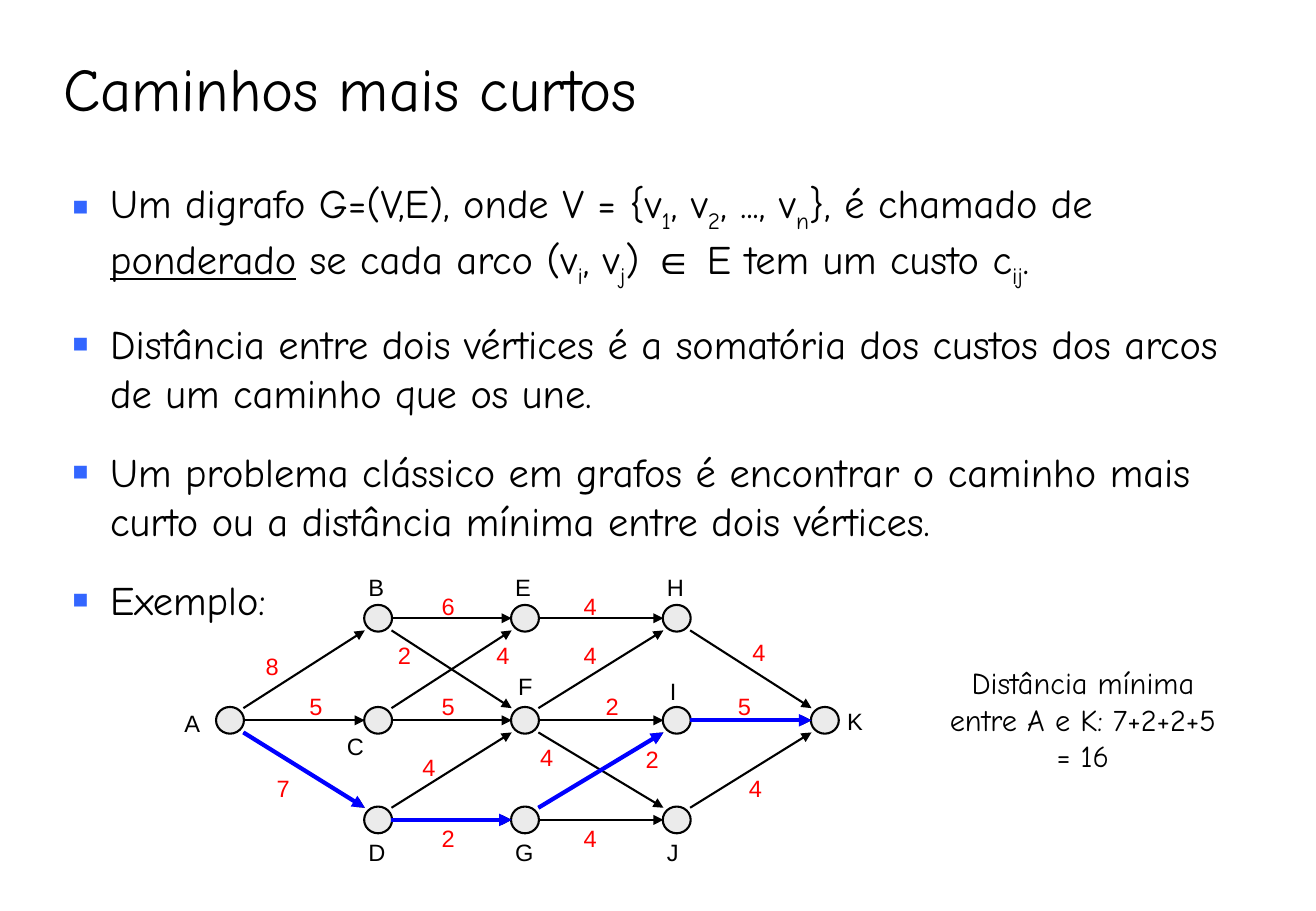
from lxml.etree import SubElement
from pptx import Presentation
from pptx.dml.color import RGBColor
from pptx.enum.shapes import MSO_CONNECTOR, MSO_SHAPE
from pptx.enum.text import MSO_ANCHOR, PP_ALIGN
from pptx.oxml.ns import qn
from pptx.util import Inches, Pt

CELL = 0.1
COLORS = {"ink": "000000", "bullet": "3366FF", "node": "EBEBEB",
          "weight": "FF0000", "path": "0000FF"}
HAND, SANS = "Comic Neue", "Arial"

COLS = (18.95, 31.15, 43.25, 55.75, 67.95)
ROWS = (50.9, 59.3, 67.5)
ABOVE, BELOW = (-1.8, -4.2), (-1.8, 1)
NODES = {
    "A": (0, 1, (-4.75, -1.4)), "B": (1, 0, ABOVE), "C": (1, 1, (-3.55, 0.5)),
    "D": (1, 2, BELOW), "E": (2, 0, ABOVE), "F": (2, 1, (-1.55, -4.5)),
    "G": (2, 2, BELOW), "H": (3, 0, ABOVE), "I": (3, 1, (-1.55, -4.1)),
    "J": (3, 2, BELOW), "K": (4, 1, (0.85, -1.6)),
}
ARCS = {
    "AB": ("8", 20.9, 53.2), "AC": ("5", 24.5, 56.5), "AD": ("7", 21.8, 63.2),
    "BE": ("6", 35.4, 48.2), "BF": ("2", 31.8, 52.3), "CE": ("4", 39.9, 52.3),
    "CF": ("5", 35.4, 56.5), "DF": ("4", 33.8, 61.5), "DG": ("2", 35.4, 67.3),
    "EH": ("4", 47.1, 48.2), "FH": ("4", 47.1, 52.3), "FI": ("2", 48.9, 56.5),
    "FJ": ("4", 43.5, 60.7), "GI": ("2", 52.2, 60.8), "GJ": ("4", 47.1, 67.3),
    "HK": ("4", 61, 52), "IK": ("5", 59.8, 56.5), "JK": ("4", 60.7, 63.2),
}
SHORTEST = "ADGIK"
SUB = {"sub": True}
BULLETS = [
    [("Um digrafo G=(V,E), onde V = {v", {}), ("1", SUB), (", v", {}), ("2", SUB),
     (", ..., v", {}), ("n", SUB), ("}, é chamado de ", {}),
     ("ponderado", {"underline": True}), (" se cada arco (v", {}), ("i", SUB),
     (", v", {}), ("j", SUB), (") ", {}), ("∈", {"font": SANS}),
     (" E tem um custo c", {}), ("ij", SUB), (".", {})],
    [("Distância entre dois vértices é a somatória dos custos dos arcos "
      "de um caminho que os une.", {})],
    [("Um problema clássico em grafos é encontrar o caminho mais curto "
      "ou a distância mínima entre dois vértices.", {})],
    [("Exemplo:", {})],
]


def cells(*values):
    return [Inches(v * CELL) for v in values]


def rgb(name):
    return RGBColor.from_string(COLORS[name])


def write(p, text, size=24, font=HAND, color="ink", underline=False, sub=False):
    r = p.add_run()
    r.text = text
    r.font.size, r.font.name = Pt(size), font
    r.font.color.rgb = rgb(color)
    if underline:
        r.font.underline = True
    if sub:
        r._r.get_or_add_rPr().set("baseline", "-25000")


class GraphSlide:
    """Draws text and graph elements on one slide, measured in grid cells."""

    def __init__(self, prs):
        self.s = prs.slides.add_slide(prs.slide_layouts[5])

    def title(self, text, *box):
        sp = self.s.shapes.title
        sp.left, sp.top, sp.width, sp.height = cells(*box)
        tf = sp.text_frame
        tf.vertical_anchor = MSO_ANCHOR.BOTTOM
        p = tf.paragraphs[0]
        p.alignment, p.line_spacing = PP_ALIGN.LEFT, 0.9
        write(p, text, size=36)

    def frame(self, *box):
        tf = self.s.shapes.add_textbox(*cells(*box)).text_frame
        tf.word_wrap = True
        return tf

    def text(self, text, *box, align=PP_ALIGN.LEFT, **fmt):
        p = self.frame(*box).paragraphs[0]
        p.alignment = align
        write(p, text, **fmt)

    def label(self, text, x, y, color="ink"):
        self.text(text, x, y, 4.5, 3.4, size=14, font=SANS, color=color)

    def bullets(self, items, *box):
        tf = self.frame(*box)
        for i, runs in enumerate(items):
            p = tf.add_paragraph() if i else tf.paragraphs[0]
            p.space_before, p.space_after = Pt(9 if i else 0), Pt(9)
            pPr = p._p.get_or_add_pPr()
            pPr.set("marL", str(Inches(0.31)))
            pPr.set("indent", str(-Inches(0.31)))
            clr = SubElement(pPr, qn("a:buClr"))
            SubElement(clr, qn("a:srgbClr"), val=COLORS["bullet"])
            SubElement(pPr, qn("a:buSzPct"), val="65000")
            SubElement(pPr, qn("a:buFont"), typeface=SANS)
            SubElement(pPr, qn("a:buChar"), char="■")
            for text, fmt in runs:
                write(p, text, **fmt)

    def node(self, name):
        col, row, (dx, dy) = NODES[name]
        x, y = COLS[col], ROWS[row]
        sp = self.s.shapes.add_shape(MSO_SHAPE.OVAL, *cells(x - 1.15, y - 1.1, 2.3, 2.2))
        sp.shadow.inherit = False
        sp.fill.solid()
        sp.fill.fore_color.rgb = rgb("node")
        sp.line.color.rgb = rgb("ink")
        sp.line.width = Pt(1.25)
        self.label(name, x + dx, y + dy)

    def arc(self, start, end, color="ink", width=1.25):
        (c1, r1, _), (c2, r2, _) = NODES[start], NODES[end]
        dy = (r2 > r1) - (r2 < r1)
        ends = cells(COLS[c1] + 1.1, ROWS[r1] + dy, COLS[c2] - 1.1, ROWS[r2] - dy)
        cx = self.s.shapes.add_connector(MSO_CONNECTOR.STRAIGHT, *ends)
        cx.line.color.rgb = rgb(color)
        cx.line.width = Pt(width)
        SubElement(cx.line._get_or_add_ln(), qn("a:tailEnd"), type="triangle")
        SubElement(cx._element.spPr, qn("a:effectLst"))


def main():
    prs = Presentation()
    prs.slide_width, prs.slide_height = Inches(10.84), Inches(7.5)
    g = GraphSlide(prs)
    g.title("Caminhos mais curtos", 4.2, 2.5, 97.5, 8.3)
    g.bullets(BULLETS, 5, 14.2, 100, 36.7)
    for name in NODES:
        g.node(name)
    for (start, end), (weight, x, y) in ARCS.items():
        g.arc(start, end)
        g.label(weight, x, y, color="weight")
    for start, end in zip(SHORTEST, SHORTEST[1:]):
        g.arc(start, end, color="path", width=2.5)
    g.text("Distância mínima entre A e K: 7+2+2+5 = 16", 76.7, 54.2, 25, 10,
           align=PP_ALIGN.CENTER, size=18)
    prs.save("out.pptx")


if __name__ == "__main__":
    main()
